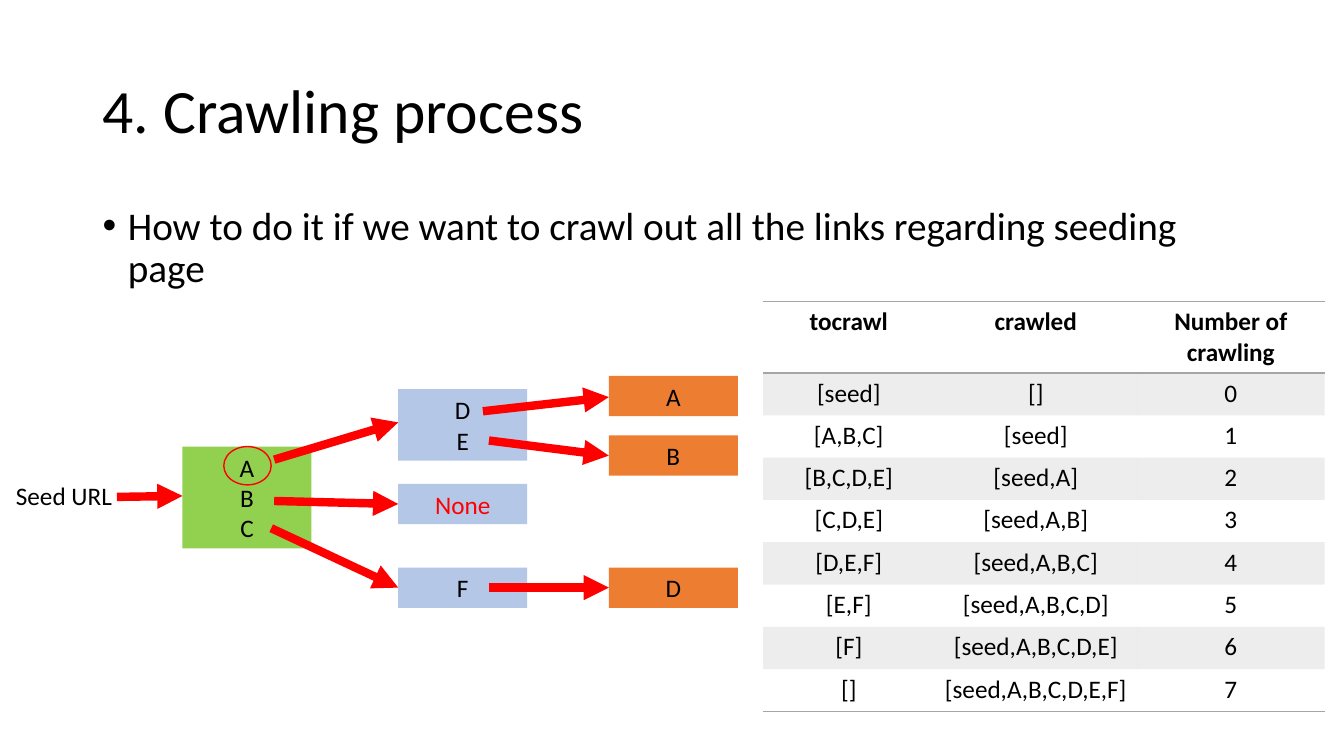
"""Build the crawling process slide; positions are percentages of the slide's size."""
from dataclasses import dataclass

from lxml import etree
from pptx import Presentation
from pptx import util as u
from pptx.dml.color import RGBColor
from pptx.enum import shapes, text
from pptx.oxml import ns


@dataclass(frozen=True)
class Theme:
    font: str = "Calibri"
    title_size: int = 44
    body_size: int = 28
    label_size: int = 18
    ink: str = "000000"
    accent: str = "FF0000"
    seed: str = "92D050"
    child: str = "B4C7E7"
    grandchild: str = "ED7D31"
    band: str = "A5A5A5"


@dataclass(frozen=True)
class Box:
    left: float
    top: float
    height: float
    fill: str
    label: str
    color: str = Theme.ink


@dataclass(frozen=True)
class Arrow:
    start_x: float
    start_y: float
    end_x: float
    end_y: float


THEME = Theme()
WIDTH, HEIGHT = u.Inches(13.33), u.Inches(7.5)
SEED_X, CHILD_X, GRANDCHILD_X = 13.58, 29.63, 45.3
BOX_WIDTH, BOX_HEIGHT = 9.6, 5.33

BOXES = [
    Box(SEED_X, 59.07, 13.47, THEME.seed, "A\nB\nC"),
    Box(CHILD_X, 51.47, 9.47, THEME.child, "D\nE"),
    Box(CHILD_X, 64, BOX_HEIGHT, THEME.child, "None", THEME.accent),
    Box(CHILD_X, 75.07, BOX_HEIGHT, THEME.child, "F"),
    Box(GRANDCHILD_X, 49.73, BOX_HEIGHT, THEME.grandchild, "A"),
    Box(GRANDCHILD_X, 57.6, BOX_HEIGHT, THEME.grandchild, "B"),
    Box(GRANDCHILD_X, 75.07, BOX_HEIGHT, THEME.grandchild, "D"),
]
ARROWS = [
    Arrow(8.7, 65.73, SEED_X, 65.6),
    Arrow(20.4, 60.8, CHILD_X, 55.87),
    Arrow(20.4, 66.27, CHILD_X, 66.67),
    Arrow(20.18, 69.87, CHILD_X, 77.73),
    Arrow(35.93, 54.4, GRANDCHILD_X, 52.53),
    Arrow(36.38, 58.27, GRANDCHILD_X, 60.27),
    Arrow(36.38, 77.73, GRANDCHILD_X, 77.73),
]
HEADER = ("tocrawl", "crawled", "Number of crawling")
STEPS = [
    ("[seed]", "[]"),
    ("[A,B,C]", "[seed]"),
    ("[B,C,D,E]", "[seed,A]"),
    ("[C,D,E]", "[seed,A,B]"),
    ("[D,E,F]", "[seed,A,B,C]"),
    ("[E,F]", "[seed,A,B,C,D]"),
    ("[F]", "[seed,A,B,C,D,E]"),
    ("[]", "[seed,A,B,C,D,E,F]"),
]
COLUMN_WIDTHS = (12.75, 15.08, 13.95)
HEADER_HEIGHT, STEP_HEIGHT = 9.47, 5.6
PLAIN_TABLE_STYLE = "{2D5ABB26-0587-4C30-8999-92F81FD0307C}"


def across(share: float) -> int:
    """Turn a percentage of the slide's width into a length."""
    return round(WIDTH * share / 100)


def down(share: float) -> int:
    """Turn a percentage of the slide's height into a length."""
    return round(HEIGHT * share / 100)


def area(left: float, top: float, width: float, height: float) -> tuple[int, int, int, int]:
    """Turn four percentages into a position and a size."""
    return across(left), down(top), across(width), down(height)


def write(frame, content: str, *, size: int = THEME.label_size, color: str = THEME.ink,
          bold: bool = False, align=text.PP_ALIGN.CENTER, spacing: float = 1.0,
          before: int = 0, bullet: bool = False) -> None:
    """Fill a text frame with one formatted paragraph per line."""
    frame.word_wrap = True
    frame.text = content
    for paragraph in frame.paragraphs:
        paragraph.alignment = align
        paragraph.line_spacing = spacing
        paragraph.space_before = u.Pt(before)
        font = paragraph.runs[0].font
        font.name, font.size, font.bold = THEME.font, u.Pt(size), bold
        font.color.rgb = RGBColor.from_string(color)
        if bullet:
            properties = paragraph._p.get_or_add_pPr()
            properties.set("marL", str(u.Inches(0.25)))
            properties.set("indent", str(-u.Inches(0.25)))
            etree.SubElement(properties, ns.qn("a:buFont"), typeface="Arial")
            etree.SubElement(properties, ns.qn("a:buChar"), char="•")


def add_text(slide, bounds: tuple[int, int, int, int], content: str, **style) -> None:
    """Add a text box in the given style."""
    write(slide.shapes.add_textbox(*bounds).text_frame, content, **style)


def add_box(slide, box: Box) -> None:
    """Add one page of the link tree."""
    bounds = area(box.left, box.top, BOX_WIDTH, box.height)
    shape = slide.shapes.add_shape(shapes.MSO_SHAPE.RECTANGLE, *bounds)
    shape.shadow.inherit = False
    shape.fill.solid()
    shape.fill.fore_color.rgb = RGBColor.from_string(box.fill)
    shape.line.fill.background()
    write(shape.text_frame, box.label, color=box.color)


def add_arrow(slide, arrow: Arrow) -> None:
    """Add one thick link arrow."""
    connector = slide.shapes.add_connector(
        shapes.MSO_CONNECTOR.STRAIGHT, across(arrow.start_x), down(arrow.start_y),
        across(arrow.end_x), down(arrow.end_y))
    connector.line.color.rgb = RGBColor.from_string(THEME.accent)
    connector.line.width = u.Pt(6)
    etree.SubElement(connector.line._get_or_add_ln(), ns.qn("a:tailEnd"), type="triangle")
    etree.SubElement(connector._element.spPr, ns.qn("a:effectLst"))


def add_ring(slide) -> None:
    """Circle the link that is crawled first."""
    ring = slide.shapes.add_shape(shapes.MSO_SHAPE.OVAL, *area(16.65, 59.07, 3.53, 5.07))
    ring.shadow.inherit = False
    ring.fill.background()
    ring.line.color.rgb = RGBColor.from_string(THEME.accent)
    ring.line.width = u.Pt(1)


def format_cell(cell, edges: tuple[str, ...], banded: bool) -> None:
    """Draw the ruled edges of a cell and its translucent band."""
    properties = cell._tc.get_or_add_tcPr()
    for edge in edges:
        line = etree.SubElement(properties, ns.qn(f"a:{edge}"), w=str(u.Pt(1)))
        solid = etree.SubElement(line, ns.qn("a:solidFill"))
        etree.SubElement(solid, ns.qn("a:srgbClr"), val=THEME.band)
    if banded:
        cell.fill.solid()
        cell.fill.fore_color.rgb = RGBColor.from_string(THEME.band)
        color = properties.find(f"{ns.qn('a:solidFill')}/{ns.qn('a:srgbClr')}")
        etree.SubElement(color, ns.qn("a:alpha"), val="20000")
    else:
        cell.fill.background()


def add_steps_table(slide) -> None:
    """Add the table that follows both lists through the crawl."""
    rows = [HEADER] + [(*step, str(number)) for number, step in enumerate(STEPS)]
    bounds = area(56.78, 39.87, sum(COLUMN_WIDTHS), HEADER_HEIGHT + STEP_HEIGHT * len(STEPS))
    table = slide.shapes.add_table(len(rows), len(HEADER), *bounds).table
    table._tbl.tblPr.find(ns.qn("a:tableStyleId")).text = PLAIN_TABLE_STYLE
    table.horz_banding = False
    for column, width in zip(table.columns, COLUMN_WIDTHS):
        column.width = across(width)
    for index, values in enumerate(rows):
        table.rows[index].height = down(STEP_HEIGHT if index else HEADER_HEIGHT)
        edges = ("lnT", "lnB") if index == 0 else ("lnB",) if index == len(STEPS) else ()
        for cell, value in zip(table.rows[index].cells, values):
            format_cell(cell, edges, banded=index % 2 == 1)
            write(cell.text_frame, value, bold=index == 0)


def main() -> None:
    """Build and save the presentation."""
    presentation = Presentation()
    presentation.slide_width, presentation.slide_height = WIDTH, HEIGHT
    slide = presentation.slides.add_slide(presentation.slide_layouts[5])
    title = slide.shapes.title
    title.left, title.top, title.width, title.height = area(6.9, 5.33, 86.25, 19.33)
    title.text_frame.auto_size = text.MSO_AUTO_SIZE.NONE
    title.text_frame.vertical_anchor = text.MSO_ANCHOR.MIDDLE
    write(title.text_frame, "4. Crawling process", size=THEME.title_size,
          align=text.PP_ALIGN.LEFT, spacing=0.9)
    add_text(slide, area(6.9, 26.67, 86.25, 63.47),
             "How to do it if we want to crawl out all the links regarding seeding page",
             size=THEME.body_size, align=text.PP_ALIGN.LEFT, spacing=0.9, before=10, bullet=True)
    add_text(slide, area(0.45, 62.93, 13.13, BOX_HEIGHT), "Seed URL", align=text.PP_ALIGN.LEFT)
    for box in BOXES:
        add_box(slide, box)
    add_ring(slide)
    for arrow in ARROWS:
        add_arrow(slide, arrow)
    add_steps_table(slide)
    presentation.save("out.pptx")


main()
